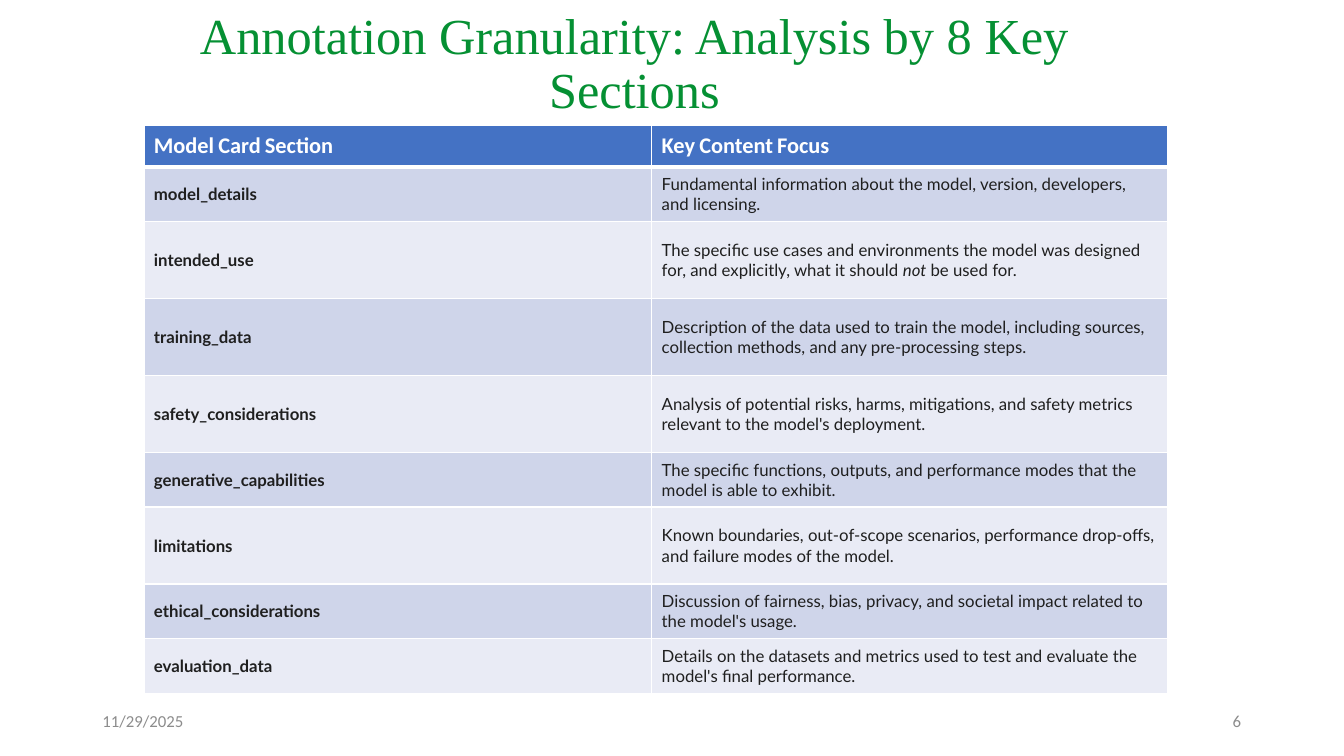
from lxml.etree import SubElement
from pptx import Presentation
from pptx.dml.color import RGBColor
from pptx.enum.text import MSO_ANCHOR, MSO_AUTO_SIZE, PP_ALIGN
from pptx.oxml.ns import qn
from pptx.util import Cm, Pt

GREEN = RGBColor(0x05, 0x90, 0x33)
GRAY = RGBColor(0x8C, 0x8C, 0x8C)
INK = RGBColor(0x1F, 0x1F, 0x1F)
WHITE = RGBColor(0xFF, 0xFF, 0xFF)
BLUE = RGBColor(0x44, 0x72, 0xC4)
BANDS = (RGBColor(0xCF, 0xD5, 0xEA), RGBColor(0xE9, 0xEB, 0xF5))

HEADER_H, SHORT, TALL = 1.0, 1.37, 1.94
COLUMN_SHARES = (0.496, 0.504)
HEADINGS = ("Model Card Section", "Key Content Focus")
SECTIONS = [
    ("model_details", SHORT,
     ["Fundamental information about the model, version, developers, and licensing."]),
    ("intended_use", TALL,
     ["The specific use cases and environments the model was designed for, "
      "and explicitly, what it should ", "not", " be used for."]),
    ("training_data", TALL,
     ["Description of the data used to train the model, including sources, "
      "collection methods, and any pre-processing steps."]),
    ("safety_considerations", TALL,
     ["Analysis of potential risks, harms, mitigations, and safety metrics "
      "relevant to the model's deployment."]),
    ("generative_capabilities", SHORT,
     ["The specific functions, outputs, and performance modes that the model "
      "is able to exhibit."]),
    ("limitations", TALL,
     ["Known boundaries, out-of-scope scenarios, performance drop-offs, and "
      "failure modes of the model."]),
    ("ethical_considerations", SHORT,
     ["Discussion of fairness, bias, privacy, and societal impact related to "
      "the model's usage."]),
    ("evaluation_data", SHORT,
     ["Details on the datasets and metrics used to test and evaluate the "
      "model's final performance."]),
]


def add_run(p, text, size, font, color, bold=False, italic=False):
    """Append one formatted run to a paragraph."""
    r = p.add_run()
    r.text = text
    r.font.size, r.font.name = Pt(size), font
    r.font.bold, r.font.italic = bold, italic
    r.font.color.rgb = color


def format_cell(cell, fill, bottom=1):
    """Set borders, fill and margins of a cell and return its paragraph."""
    tc_pr = cell._tc.get_or_add_tcPr()
    for side, width in (("L", 1), ("R", 1), ("T", 1), ("B", bottom)):
        ln = SubElement(tc_pr, qn(f"a:ln{side}"), w=str(Pt(width)))
        SubElement(SubElement(ln, qn("a:solidFill")), qn("a:srgbClr"), val=str(WHITE))
    cell.fill.solid()
    cell.fill.fore_color.rgb = fill
    cell.margin_left = cell.margin_right = Cm(0.25)
    cell.margin_top = cell.margin_bottom = Cm(0.18)
    cell.vertical_anchor = MSO_ANCHOR.MIDDLE
    return cell.text_frame.paragraphs[0]


def add_title(s, left, top, width, height):
    """Place the slide title in its box."""
    sp = s.shapes.title
    sp.left, sp.top, sp.width, sp.height = Cm(left), Cm(top), Cm(width), Cm(height)
    tf = sp.text_frame
    tf.word_wrap, tf.auto_size = True, MSO_AUTO_SIZE.NONE
    tf.vertical_anchor = MSO_ANCHOR.MIDDLE
    p = tf.paragraphs[0]
    p.alignment, p.line_spacing = PP_ALIGN.CENTER, 0.9
    add_run(p, "Annotation Granularity: Analysis by 8 Key Sections",
            36, "Times New Roman", GREEN)


def add_section_table(s, left, top, width):
    """Build the table of model card sections."""
    heights = [HEADER_H] + [height for _, height, _ in SECTIONS]
    table = s.shapes.add_table(len(heights), 2, Cm(left), Cm(top),
                               Cm(width), Cm(sum(heights))).table
    for column, share in zip(table.columns, COLUMN_SHARES):
        column.width = Cm(width * share)
    for row, height in zip(table.rows, heights):
        row.height = Cm(height)
    for j, heading in enumerate(HEADINGS):
        p = format_cell(table.cell(0, j), BLUE, bottom=3)
        for k, word in enumerate(heading.split()):
            if k:
                add_run(p, " ", 12, "Lato", INK, bold=True)
            add_run(p, word, 16, "Calibri", WHITE, bold=True)
    for i, (name, _, focus) in enumerate(SECTIONS, 1):
        fill = BANDS[(i - 1) % 2]
        add_run(format_cell(table.cell(i, 0), fill), name, 12, "Lato", INK, bold=True)
        p = format_cell(table.cell(i, 1), fill)
        for k, text in enumerate(focus):
            add_run(p, text, 12, "Lato", INK, italic=k == 1)


def add_footer(s, left, top, width, height):
    """Put the date at the left end of the box and the number at the right."""
    part_w = 7.62
    for text, x, align in (("11/29/2025", left, PP_ALIGN.LEFT),
                           ("6", left + width - part_w, PP_ALIGN.RIGHT)):
        tf = s.shapes.add_textbox(Cm(x), Cm(top), Cm(part_w), Cm(height)).text_frame
        tf.word_wrap = True
        tf.vertical_anchor = MSO_ANCHOR.MIDDLE
        p = tf.paragraphs[0]
        p.alignment = align
        add_run(p, text, 12, "Calibri", GRAY)


def main():
    """Create the slide and save the presentation."""
    prs = Presentation()
    prs.slide_width, prs.slide_height = Cm(33.87), Cm(19.05)
    s = prs.slides.add_slide(prs.slide_layouts[5])
    add_title(s, 4.14, -0.2, 23.7, 3.68)
    add_section_table(s, 3.63, 3.15, 25.8)
    add_footer(s, 2.33, 17.66, 29.2, 1.01)
    prs.save("out.pptx")


if __name__ == "__main__":
    main()
